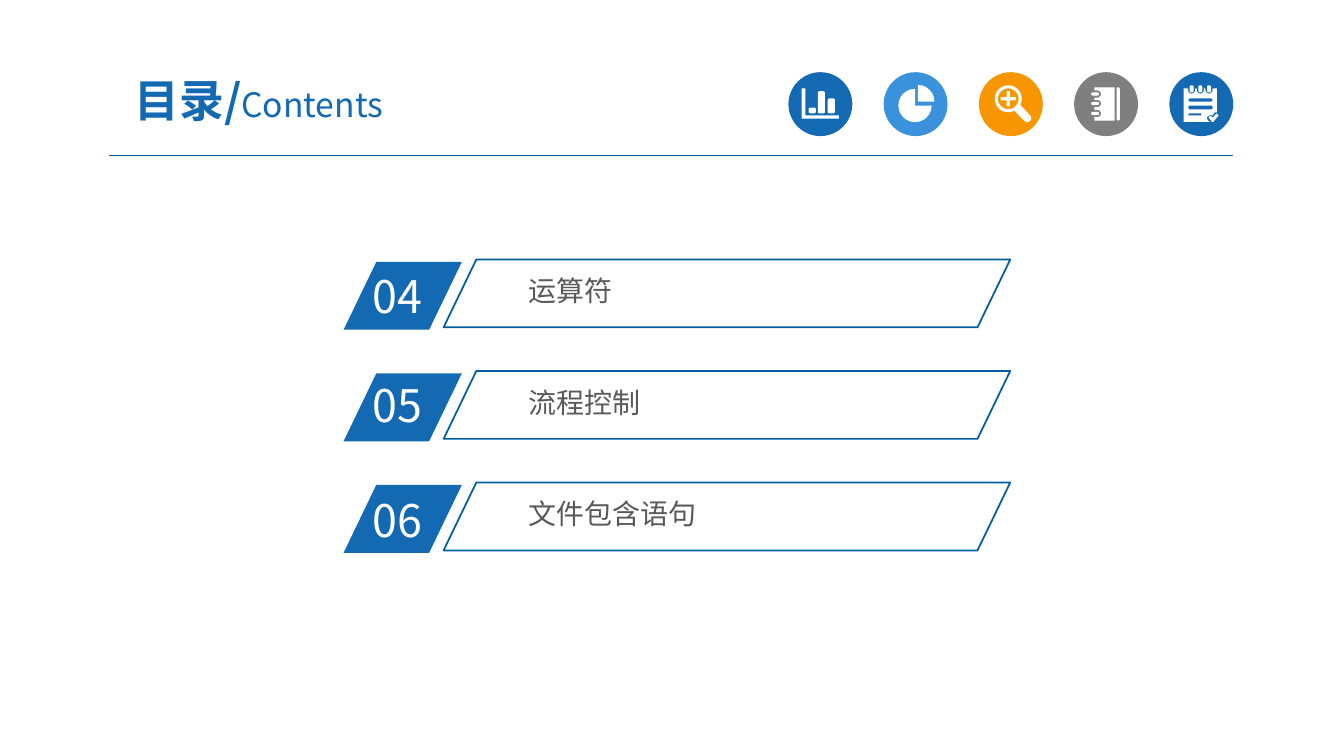
from math import cos, radians, sin

from lxml.etree import SubElement
from pptx import Presentation
from pptx.dml.color import RGBColor
from pptx.enum.shapes import MSO_CONNECTOR, MSO_SHAPE
from pptx.enum.text import MSO_ANCHOR, PP_ALIGN
from pptx.oxml.ns import qn
from pptx.util import Cm, Pt

FONT = "Noto Sans CJK SC"
COLORS = {
    "blue": "1369B2", "sky": "3992DB", "orange": "F79600", "gray": "7F7F7F",
    "white": "FFFFFF", "text": "595959", "frame": "005DA2", "rule": "005B9E",
}
TITLE_FORMAT = {"size": Pt(32), "bold": True}
SUBTITLE_FORMAT = {"size": Pt(24), "bold": False}
NUMBER_FORMAT = {"size": Pt(32)}
LABEL_FORMAT = {"size": Pt(20)}

# number, top of the number in cm, label
ITEMS = [("04", 6.65, "运算符"), ("05", 9.4, "流程控制"), ("06", 12.29, "文件包含语句")]
ITEM_TOP, ITEM_PITCH = 6.6, 2.81
DISC_LEFT, DISC_TOP, DISC_SIZE, DISC_PITCH = 19.87, 1.82, 1.61, 2.4


def rgb(name):
    return RGBColor.from_string(COLORS[name])


def add_run(p, text, color, fmt):
    r = p.add_run()
    r.text = text
    r.font.name = FONT
    r.font.color.rgb = rgb(color)
    for name, value in fmt.items():
        setattr(r.font, name, value)
    SubElement(r.font._element, qn("a:ea"), typeface=FONT)


def set_frame(tf, margins, anchor):
    tf.word_wrap = True
    tf.vertical_anchor = anchor
    x, y = margins
    for side, value in {"left": x, "right": x, "top": y, "bottom": y}.items():
        setattr(tf, f"margin_{side}", Cm(value))


def add_text(shapes, box, text, color, fmt, margins):
    tf = shapes.add_textbox(*map(Cm, box)).text_frame
    set_frame(tf, margins, MSO_ANCHOR.TOP)
    add_run(tf.paragraphs[0], text, color, fmt)


def paint(sp, fill=None, line=None):
    sp.shadow.inherit = False
    if fill:
        sp.fill.solid()
        sp.fill.fore_color.rgb = rgb(fill)
    else:
        sp.fill.background()
    if line:
        sp.line.color.rgb = rgb(line)
        sp.line.width = Pt(1.25)
    else:
        sp.line.fill.background()


def add_parallelogram(shapes, box, fill=None, line=None):
    sp = shapes.add_shape(MSO_SHAPE.PARALLELOGRAM, *map(Cm, box))
    sp.adjustments[0] = 0.482
    paint(sp, fill, line)


def add_title(slide):
    sp = slide.shapes.title
    box = {"left": 2.34, "top": 1.6, "width": 8.36, "height": 1.83}
    for name, value in box.items():
        setattr(sp, name, Cm(value))
    set_frame(sp.text_frame, (0.33, 0.18), MSO_ANCHOR.MIDDLE)
    p = sp.text_frame.paragraphs[0]
    p.alignment = PP_ALIGN.CENTER
    add_run(p, "目录/", "blue", TITLE_FORMAT)
    add_run(p, "Contents", "blue", SUBTITLE_FORMAT)


def add_rule(slide):
    cxn = slide.shapes.add_connector(
        MSO_CONNECTOR.STRAIGHT, Cm(2.75), Cm(3.93), Cm(31.07), Cm(3.93))
    cxn.line.color.rgb = rgb("rule")
    cxn.line.width = Pt(0.75)
    SubElement(cxn._element.spPr, qn("a:effectLst"))


def arc(cx, cy, radius, start, end, steps=6):
    """Return points along an arc; angles in degrees run clockwise from the right."""
    angles = [radians(start + (end - start) * i / steps) for i in range(steps + 1)]
    return [(cx + radius * cos(a), cy + radius * sin(a)) for a in angles]


def bar(left, top, width, height, radius=0.04):
    """Return the outline of a bar with rounded corners."""
    x1, x2 = left + radius, left + width - radius
    y1, y2 = top + radius, top + height - radius
    corners = [(x2, y1), (x2, y2), (x1, y2), (x1, y1)]
    return [point for i, (x, y) in enumerate(corners)
            for point in arc(x, y, radius, 90 * i - 90, 90 * i, 3)]


def bar_chart():
    axis = [(0.33, 0.41), (0.43, 0.41), (0.43, 1.09), (1.27, 1.09),
            (1.27, 1.17), (0.33, 1.17)]
    return [axis, bar(0.51, 0.89, 0.18, 0.15), bar(0.74, 0.48, 0.18, 0.56),
            bar(0.99, 0.66, 0.18, 0.38)]


def pie_chart():
    return [[(0.86, 0.74)] + arc(0.86, 0.74, 0.42, -90, 0),
            [(0.79, 0.84)] + arc(0.79, 0.84, 0.42, 0, 270, 18)]


def magnifier():
    cx, cy = 0.74, 0.67
    rim = arc(cx, cy, 0.34, 63, 387, 24) + arc(1.22, 1.16, 0.1, -45, 135)
    lens = arc(cx, cy, 0.26, 0, 360, 24)
    near, far = 0.04, 0.19
    quarter = [(far, -near), (far, near), (near, near)]
    plus = []
    for _ in range(4):
        plus += [(cx + x, cy + y) for x, y in quarter]
        quarter = [(-y, x) for x, y in quarter]
    return [rim, lens, plus]


def notebook():
    rows = [0.55, 0.79, 1.04]
    cover = [(0.51, 0.38), (1.02, 0.38), (1.02, 1.22), (0.51, 1.22)]
    for y in reversed(rows):
        cover += [(0.51, y + 0.09)] + arc(0.59, y, 0.09, 90, -90) + [(0.51, y - 0.09)]
    rings = [bar(0.43, y - 0.04, 0.2, 0.08) for y in rows]
    return [cover, bar(1.07, 0.38, 0.08, 0.84)] + rings


def notepad():
    columns = [0.56, 0.78, 1]
    page = [(0.36, 0.41)]
    for x in columns:
        page += [(x - 0.09, 0.41)] + arc(x, 0.45, 0.09, 180, 0) + [(x + 0.09, 0.41)]
    page += [(1.2, 0.41), (1.2, 1.01), (1.14, 1.01), (1.09, 1.09), (1.02, 1.07),
             (0.94, 1.14), (0.97, 1.22), (1.02, 1.25), (0.36, 1.25)]
    check = [(0.99, 1.14), (1.02, 1.09), (1.09, 1.14), (1.19, 1.04),
             (1.24, 1.09), (1.11, 1.25), (1.07, 1.25)]
    rings = [bar(x - 0.05, 0.33, 0.1, 0.18) for x in columns]
    lines = [bar(0.48, 0.66, 0.61, 0.08), bar(0.48, 0.84, 0.61, 0.1),
             bar(0.48, 1.04, 0.33, 0.05, 0.02)]
    return [page, check] + rings + lines


def add_glyph(shapes, x, outlines):
    """Draw all outlines of an icon as one white shape; inner ones are holes."""
    builder = None
    for outline in outlines:
        start, *rest = [(Cm(x + px), Cm(DISC_TOP + py)) for px, py in outline]
        if builder is None:
            builder = shapes.build_freeform(*start)
        else:
            builder.move_to(*start)
        builder.add_line_segments(rest, close=True)
    paint(builder.convert_to_shape(), "white")


def add_icons(slide):
    icons = [("blue", bar_chart), ("sky", pie_chart), ("orange", magnifier),
             ("gray", notebook), ("blue", notepad)]
    for i, (color, outlines) in enumerate(icons):
        icon = slide.shapes.add_group_shape().shapes
        x = DISC_LEFT + i * DISC_PITCH
        box = (x, DISC_TOP, DISC_SIZE, DISC_SIZE)
        paint(icon.add_shape(MSO_SHAPE.OVAL, *map(Cm, box)), color)
        add_glyph(icon, x, outlines())


def add_item(slide, top, number, number_top, label):
    shapes = slide.shapes
    add_parallelogram(shapes, (8.66, top, 2.98, 1.71), fill="blue")
    add_text(shapes, (9.14, number_top, 2.84, 1.62), number, "white",
             NUMBER_FORMAT, (0.25, 0.13))
    add_text(shapes, (13.13, top + 0.2, 10.46, 1.06), label, "text",
             LABEL_FORMAT, (0.18, 0.1))
    add_parallelogram(shapes, (11.18, top - 0.06, 14.28, 1.71), line="frame")


def main():
    prs = Presentation()
    prs.slide_width, prs.slide_height = Cm(33.87), Cm(19.05)
    slide = prs.slides.add_slide(prs.slide_layouts[5])
    add_rule(slide)
    add_icons(slide)
    add_title(slide)
    for i, (number, number_top, label) in enumerate(ITEMS):
        add_item(slide, ITEM_TOP + i * ITEM_PITCH, number, number_top, label)
    prs.save("out.pptx")


if __name__ == "__main__":
    main()
